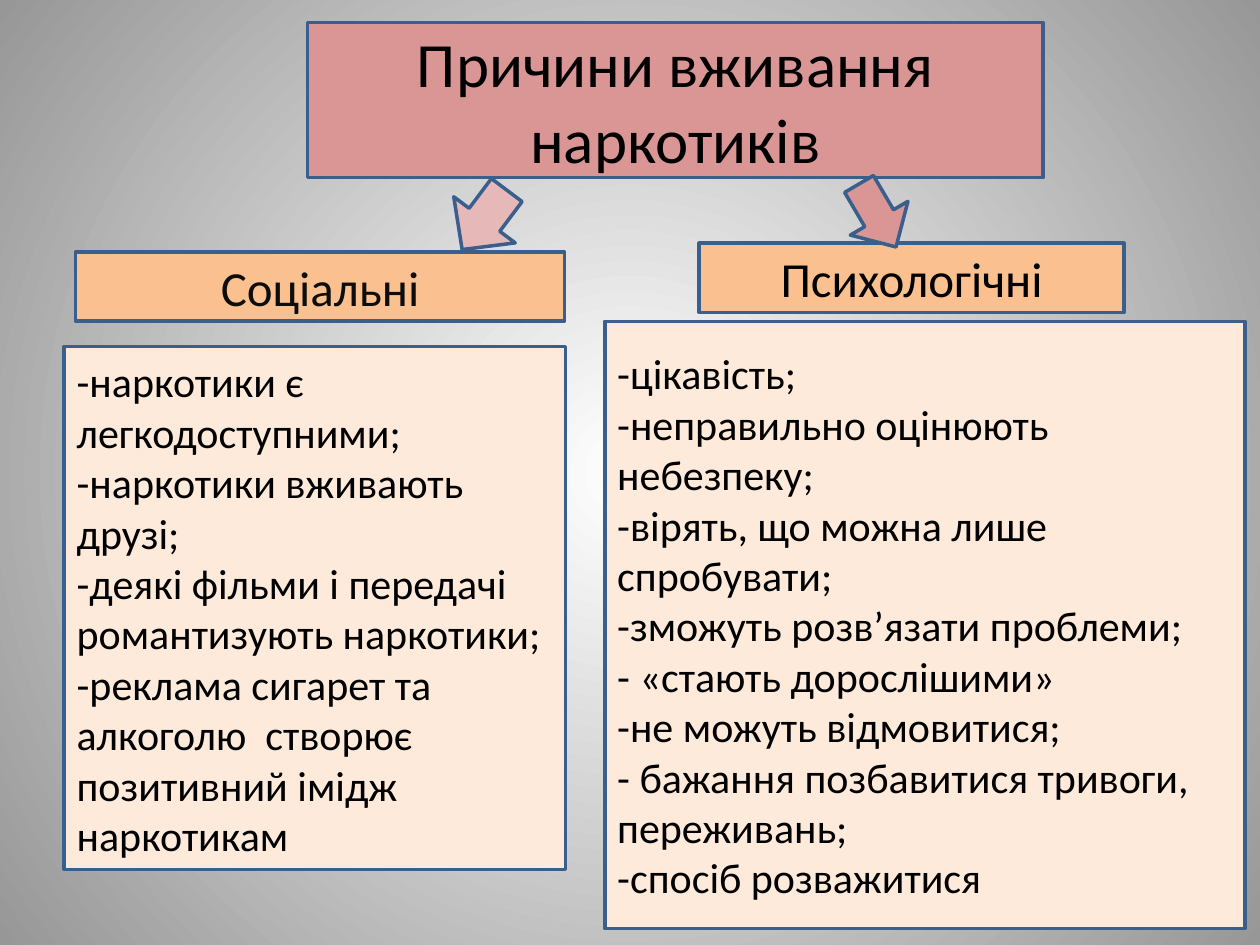
from lxml import etree
from pptx import Presentation
from pptx.dml.color import RGBColor
from pptx.enum import shapes, text
from pptx.oxml.ns import qn
from pptx.util import Inches, Pt

WHITE = RGBColor(0xFF, 0xFF, 0xFF)
GREY = RGBColor(0x97, 0x97, 0x97)
ROSE = RGBColor(0xD9, 0x96, 0x94)
PINK = RGBColor(0xE6, 0xB9, 0xB8)
ORANGE = RGBColor(0xFA, 0xC0, 0x90)
CREAM = RGBColor(0xFD, 0xEA, 0xDA)
BLUE = RGBColor(0x3A, 0x5F, 0x8C)
BLACK = RGBColor(0, 0, 0)
NEAR_BLACK = RGBColor(0x0D, 0x0D, 0x0D)

SOCIAL = [
    "-наркотики є легкодоступними;",
    "-наркотики вживають друзі;",
    "-деякі фільми і передачі романтизують наркотики;",
    "-реклама сигарет та алкоголю  створює позитивний імідж наркотикам",
]
PSYCHOLOGICAL = [
    "-цікавість;",
    "-неправильно оцінюють небезпеку;",
    "-вірять, що можна лише спробувати;",
    "-зможуть розв’язати проблеми;\v- «стають дорослішими»",
    "-не можуть відмовитися;",
    "- бажання позбавитися тривоги, переживань;",
    "-спосіб розважитися",
]

# Boxes: position, fill, paragraphs, text size, text colour, alignment
CENTER, LEFT = text.PP_ALIGN.CENTER, text.PP_ALIGN.LEFT
HEADINGS = [
    ((2.44, 0.18, 5.84, 1.23), ROSE, ["Причини вживання наркотиків"], 36, BLACK, CENTER),
    ((0.6, 2, 3.88, 0.55), ORANGE, ["Соціальні"], 28, NEAR_BLACK, CENTER),
    ((5.55, 1.93, 3.37, 0.55), ORANGE, ["Психологічні"], 28, BLACK, CENTER),
]
LISTS = [
    ((4.8, 2.55, 5.08, 4.82), CREAM, PSYCHOLOGICAL, 24, BLACK, LEFT),
    ((0.51, 2.75, 3.98, 4.15), CREAM, SOCIAL, 24, BLACK, LEFT),
]
# Arrows: position, fill, rotation
ARROWS = [
    ((3.54, 1.45, 0.61, 0.59), PINK, 36.9),
    ((6.7, 1.42, 0.53, 0.58), ROSE, 329.6),
]

presentation = Presentation()
presentation.slide_width, presentation.slide_height = Inches(10), Inches(7.5)
slide = presentation.slides.add_slide(presentation.slide_layouts[6])


def add_outlined(kind, position, fill):
    shape = slide.shapes.add_shape(kind, *map(Inches, position))
    shape.shadow.inherit = False
    shape.fill.solid()
    shape.fill.fore_color.rgb = fill
    shape.line.color.rgb = BLUE
    shape.line.width = Pt(2)
    return shape


def add_box(position, fill, lines, size, color, alignment):
    frame = add_outlined(shapes.MSO_SHAPE.RECTANGLE, position, fill).text_frame
    frame.word_wrap = True
    frame.vertical_anchor = text.MSO_ANCHOR.MIDDLE
    frame.text = "\n".join(lines)
    for paragraph in frame.paragraphs:
        paragraph.alignment = alignment
        for run in paragraph.runs:
            run.font.name = "Calibri"
            run.font.size = Pt(size)
            run.font.color.rgb = color


# Radial background, white in the centre
background = slide.background.fill
background.gradient()
for stop, color in zip(background.gradient_stops, (WHITE, GREY)):
    stop.color.rgb = color
gradient = slide.element.find(".//" + qn("a:gradFill"))
gradient.remove(gradient.find(qn("a:lin")))
radial = etree.SubElement(gradient, qn("a:path"), {"path": "circle"})
etree.SubElement(radial, qn("a:fillToRect"), dict.fromkeys("ltrb", "50000"))

# Headings, arrows, then the two lists
for heading in HEADINGS:
    add_box(*heading)
for position, fill, rotation in ARROWS:
    add_outlined(shapes.MSO_SHAPE.DOWN_ARROW, position, fill).rotation = rotation
for reasons in LISTS:
    add_box(*reasons)

presentation.save("out.pptx")
